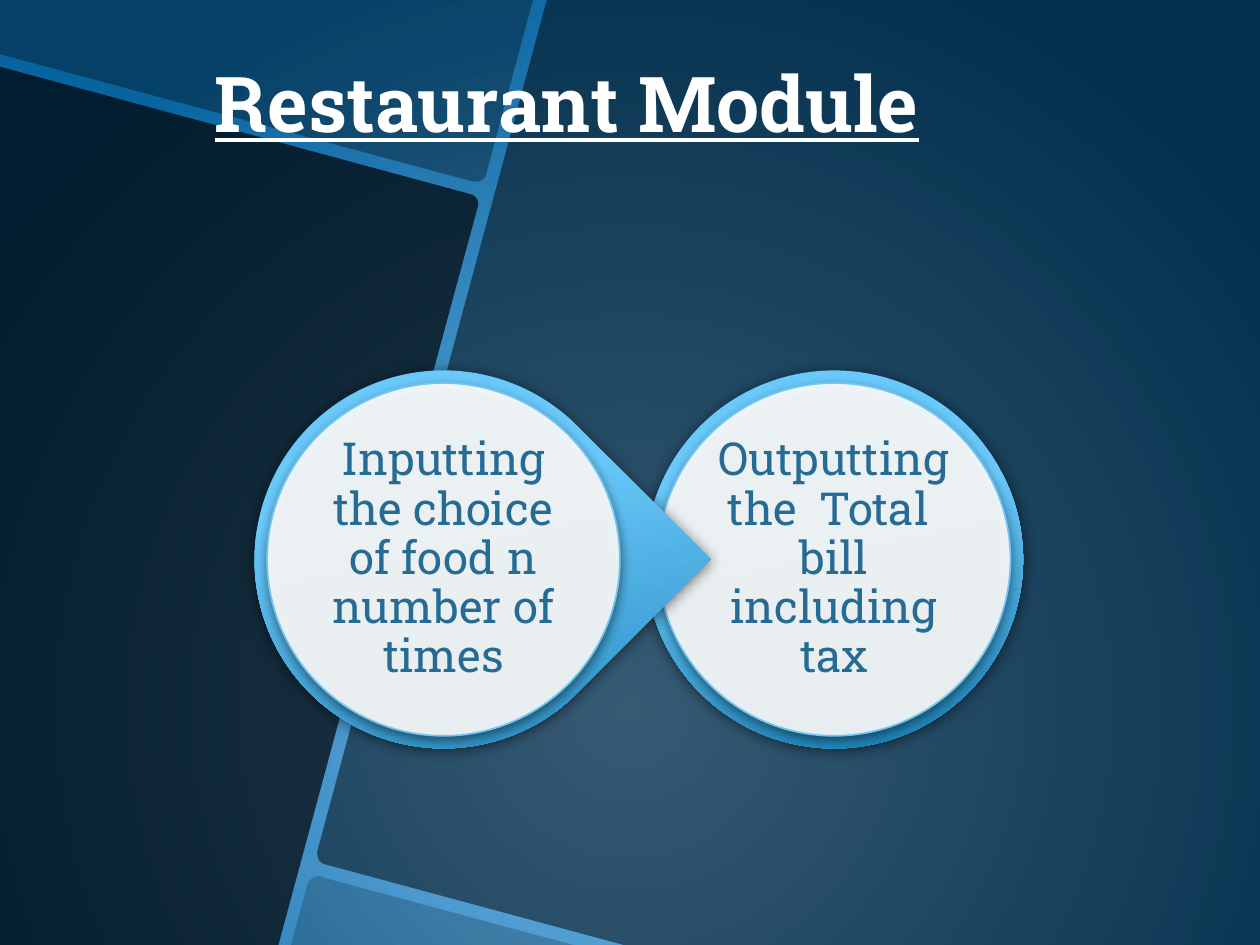
from dataclasses import dataclass

from lxml.etree import SubElement
from pptx import Presentation
from pptx.dml.color import RGBColor
from pptx.enum.shapes import MSO_SHAPE
from pptx.enum.text import MSO_ANCHOR, MSO_AUTO_SIZE, PP_ALIGN
from pptx.oxml.ns import qn
from pptx.util import Inches, Pt


@dataclass(frozen=True)
class Theme:
    font: str = "Roboto Slab"
    title_size: int = 44
    step_size: int = 26
    white: str = "FFFFFF"
    black: str = "000000"
    step_text: str = "256B94"
    rim: str = "76C5EF"
    ring: tuple = ((0.38, "6AC9FB"), (1, "167CB2"))
    backdrop: tuple = ((0, "70B6E8"), (1, "08639E"))


THEME = Theme()

# Opacity and outline in inches; a six-number entry is a Bezier curve.
PANELS = [
    (70, [(0, 0.53), (3.73, 1.54), (3.78, 1.55, 3.81, 1.6, 3.79, 1.65),
          (2.21, 7.5), (0, 7.5)]),
    (35, [(0, 0), (4.23, 0), (3.86, 1.38),
          (3.85, 1.43, 3.8, 1.45, 3.75, 1.44), (0, 0.43)]),
    (20, [(2.51, 6.96), (2.52, 6.95, 2.54, 6.95, 2.55, 6.96), (4.55, 7.5),
          (2.31, 7.5), (2.44, 7.02), (2.45, 6.99, 2.48, 6.96, 2.51, 6.96)]),
    (50, [(4.34, 0), (10, 0), (10, 7.5), (4.95, 7.5), (2.58, 6.86),
          (2.53, 6.85, 2.51, 6.8, 2.52, 6.75)]),
]

STEP_TOP, STEP_SIZE = 2.94, 3
FACE_INSET, LABEL_INSET = 0.1, 0.5


def set_solid(shape, color, opacity):
    shape.fill.solid()
    shape.fill.fore_color.rgb = RGBColor.from_string(color)
    for tint in shape.fill._xPr.iter(qn("a:srgbClr")):
        SubElement(tint, qn("a:alpha"), val=str(opacity * 1000))


def set_gradient(fill, stops):
    fill.gradient()
    for stop, (position, color) in zip(fill.gradient_stops, stops):
        stop.position = position
        stop.color.rgb = RGBColor.from_string(color)


def set_shadow(shape, opacity, blur, distance, angle):
    shape.shadow.inherit = False
    effects = shape._element.spPr.find(qn("a:effectLst"))
    shadow = SubElement(
        effects, qn("a:outerShdw"), blurRad=str(Pt(blur)),
        dist=str(Pt(distance)), dir=str(angle * 60000), rotWithShape="0")
    color = SubElement(shadow, qn("a:srgbClr"), val=THEME.black)
    SubElement(color, qn("a:alpha"), val=str(opacity * 1000))


def style_text(paragraph, size, color):
    paragraph.alignment = PP_ALIGN.CENTER
    paragraph.font.name = THEME.font
    paragraph.font.size = Pt(size)
    paragraph.font.color.rgb = RGBColor.from_string(color)


def set_backdrop(slide):
    """Radial gradient centred low on the slide."""
    set_gradient(slide.background.fill, THEME.backdrop)
    gradient = next(slide._element.iter(qn("a:gradFill")))
    gradient.remove(gradient.find(qn("a:lin")))
    circle = SubElement(gradient, qn("a:path"))
    circle.set("path", "circle")
    SubElement(circle, qn("a:fillToRect"),
               l="50000", t="50000", r="50000", b="0")


def flatten(outline, pieces=8):
    """Turn each Bezier curve of an outline into short straight pieces."""
    points = []
    for entry in outline:
        if len(entry) == 2:
            points.append(entry)
            continue
        x0, y0 = points[-1]
        x1, y1, x2, y2, x3, y3 = entry
        for i in range(1, pieces + 1):
            t = i / pieces
            a, b, c, d = ((1 - t) ** 3, 3 * t * (1 - t) ** 2,
                          3 * t ** 2 * (1 - t), t ** 3)
            points.append((a * x0 + b * x1 + c * x2 + d * x3,
                           a * y0 + b * y1 + c * y2 + d * y3))
    return [(Inches(x), Inches(y)) for x, y in points]


def add_panel(slide, opacity, outline):
    start, *rest = flatten(outline)
    builder = slide.shapes.build_freeform(*start)
    builder.add_line_segments(rest, close=True)
    panel = builder.convert_to_shape()
    set_solid(panel, THEME.black, opacity)
    panel.line.fill.background()
    panel.shadow.inherit = False


def add_title(slide, wording):
    title = slide.shapes.title
    title.left, title.top = Inches(0), Inches(0)
    title.width, title.height = Inches(9), Inches(1.22)
    frame = title.text_frame
    frame.text = wording
    frame.vertical_anchor = MSO_ANCHOR.BOTTOM
    frame.auto_size = MSO_AUTO_SIZE.NONE
    heading = frame.paragraphs[0]
    style_text(heading, THEME.title_size, THEME.white)
    heading.font.bold = heading.font.underline = True
    slide.shapes._spTree.append(title._element)  # in front of the panels


def step_box(left, inset):
    side = Inches(STEP_SIZE - 2 * inset)
    return Inches(left + inset), Inches(STEP_TOP + inset), side, side


def add_step(shapes, left, wording, ring_kind, rotation=0):
    ring = shapes.add_shape(ring_kind, *step_box(left, 0))
    ring.rotation = rotation
    set_gradient(ring.fill, THEME.ring)
    ring.fill.gradient_angle = 360 - 78
    ring._element.spPr.find(qn("a:gradFill")).set("rotWithShape", "0")
    ring.line.fill.background()
    set_shadow(ring, 54, 8.5, 1, 84)

    face = shapes.add_shape(MSO_SHAPE.OVAL, *step_box(left, FACE_INSET))
    set_solid(face, THEME.white, 90)
    face.line.color.rgb = RGBColor.from_string(THEME.rim)
    face.line.width = Pt(1)
    set_shadow(face, 50, 6, 2, 90)

    label = shapes.add_textbox(*step_box(left, LABEL_INSET)).text_frame
    label.word_wrap = True
    label.vertical_anchor = MSO_ANCHOR.MIDDLE
    label.margin_left = label.margin_right = Inches(0.04)
    label.margin_top = label.margin_bottom = Inches(0.04)
    label.text = wording
    style_text(label.paragraphs[0], THEME.step_size, THEME.step_text)
    label.paragraphs[0].line_spacing = 0.9


def main():
    deck = Presentation()
    deck.slide_width, deck.slide_height = Inches(10), Inches(7.5)
    slide = deck.slides.add_slide(deck.slide_layouts.get_by_name("Title Only"))
    set_backdrop(slide)
    for opacity, outline in PANELS:
        add_panel(slide, opacity, outline)
    add_title(slide, "Restaurant Module")

    steps = slide.shapes.add_group_shape().shapes
    add_step(steps, 5.12, "Outputting the  Total  bill including tax",
             MSO_SHAPE.OVAL)
    add_step(steps, 2.02, "Inputting the choice of food n number of times",
             MSO_SHAPE.TEAR, rotation=45)
    deck.save("out.pptx")


if __name__ == "__main__":
    main()
